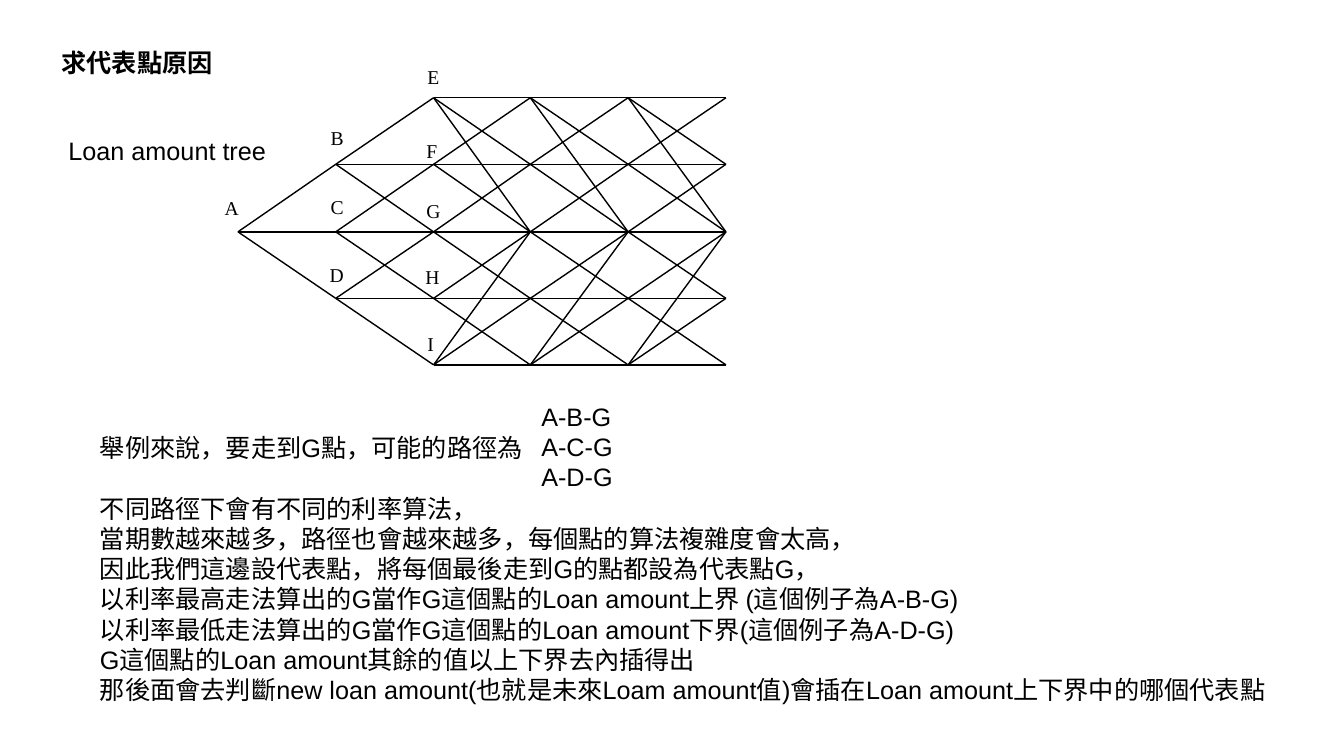
from dataclasses import dataclass

from lxml.etree import SubElement
from pptx import Presentation
from pptx.dml.color import RGBColor
from pptx.enum.shapes import MSO_CONNECTOR
from pptx.enum.text import MSO_ANCHOR, MSO_AUTO_SIZE, PP_ALIGN
from pptx.oxml.ns import qn
from pptx.shapes.base import BaseShape
from pptx.slide import Slide
from pptx.util import Emu, Pt

EMU_PER_PX = 9144  # 100 px to the inch
BLACK = RGBColor(0, 0, 0)
WHITE = RGBColor(255, 255, 255)
SANS = "Arial"
SERIF = "Times New Roman"

# Lattice extent and size
LEFT, RIGHT, TOP, BOTTOM = 236, 720, 97, 362
STEPS, ROWS = 5, 5
MIDDLE = ROWS // 2


@dataclass(frozen=True)
class Box:
    left: int
    top: int
    width: int
    height: int


@dataclass(frozen=True)
class NodeLabel:
    name: str
    box: Box


NODE_LABELS = [
    NodeLabel("A", Box(213, 189, 39, 40)),
    NodeLabel("B", Box(318, 120, 38, 40)),
    NodeLabel("C", Box(318, 188, 38, 40)),
    NodeLabel("D", Box(317, 256, 39, 40)),
    NodeLabel("E", Box(414, 59, 37, 40)),
    NodeLabel("F", Box(413, 133, 36, 40)),
    NodeLabel("G", Box(413, 192, 39, 40)),
    NodeLabel("H", Box(412, 258, 39, 40)),
    NodeLabel("I", Box(414, 324, 31, 40)),
]

EXPLANATION = [
    "舉例來說，要走到G點，可能的路徑為",
    "不同路徑下會有不同的利率算法，",
    "當期數越來越多，路徑也會越來越多，每個點的算法複雜度會太高，",
    "因此我們這邊設代表點，將每個最後走到G的點都設為代表點G，",
    "以利率最高走法算出的G當作G這個點的Loan amount上界 (這個例子為A-B-G)",
    "以利率最低走法算出的G當作G這個點的Loan amount下界(這個例子為A-D-G)",
    "G這個點的Loan amount其餘的值以上下界去內插得出",
    "那後面會去判斷new loan amount(也就是未來Loam amount值)會插在Loan amount上下界中的哪個代表點",
]
PATHS = ["A-B-G", "A-C-G", "A-D-G"]


def px(length: int) -> Emu:
    return Emu(length * EMU_PER_PX)


def place(shape: BaseShape, box: Box) -> None:
    shape.left, shape.top = px(box.left), px(box.top)
    shape.width, shape.height = px(box.width), px(box.height)


def write(shape: BaseShape, lines: list[str], size: int = 18, font: str = SANS,
          bold: bool = False, wrap: bool = False) -> None:
    frame = shape.text_frame
    frame.auto_size = MSO_AUTO_SIZE.NONE
    frame.word_wrap = wrap
    frame.vertical_anchor = MSO_ANCHOR.TOP
    for index, line in enumerate(lines):
        paragraph = frame.paragraphs[0] if index == 0 else frame.add_paragraph()
        paragraph.alignment = PP_ALIGN.LEFT
        paragraph.space_before = Pt(0)
        run = paragraph.add_run()
        run.text = line
        run.font.name, run.font.size = font, Pt(size)
        run.font.bold = bold
        run.font.color.rgb = BLACK


def add_text(slide: Slide, box: Box, lines: list[str], size: int = 18,
             font: str = SANS) -> None:
    shape = slide.shapes.add_textbox(
        px(box.left), px(box.top), px(box.width), px(box.height))
    write(shape, lines, size, font)


def node(column: int, row: int) -> tuple[Emu, Emu]:
    x = LEFT + (RIGHT - LEFT) * column / STEPS
    y = TOP + (BOTTOM - TOP) * row / (ROWS - 1)
    return px(round(x)), px(round(y))


def add_branch(slide: Slide, column: int, row: int, next_row: int) -> None:
    line = slide.shapes.add_connector(
        MSO_CONNECTOR.STRAIGHT, *node(column, row), *node(column + 1, next_row))
    line.line.color.rgb = BLACK
    line.line.width = Pt(1)
    SubElement(line._element.spPr, qn("a:effectLst"))


def draw_tree(slide: Slide) -> None:
    for column in range(STEPS):
        spread = min(column, MIDDLE)
        for row in range(MIDDLE - spread, MIDDLE + spread + 1):
            # Three branches each, kept inside the lattice
            first = min(max(row - 1, 0), ROWS - 3)
            for next_row in range(first, first + 3):
                add_branch(slide, column, row, next_row)
    for label in NODE_LABELS:
        add_text(slide, label.box, [label.name], 14, SERIF)


def write_explanation(body: BaseShape) -> None:
    place(body, Box(89, 424, 1218, 283))
    write(body, EXPLANATION, wrap=True)
    for paragraph in body.text_frame.paragraphs:
        properties = paragraph._p.get_or_add_pPr()
        properties.set("marL", "0")
        properties.set("indent", "0")
        SubElement(properties, qn("a:buNone"))
    # Room for the last path beside the first line
    body.text_frame.paragraphs[1].space_before = Pt(21.6)


def main() -> None:
    presentation = Presentation()
    presentation.slide_width, presentation.slide_height = px(1333), px(750)
    slide = presentation.slides.add_slide(presentation.slide_layouts[1])
    slide.background.fill.solid()
    slide.background.fill.fore_color.rgb = WHITE

    # Title and tree
    title = slide.shapes.title
    place(title, Box(51, 42, 172, 40))
    write(title, ["求代表點原因"], bold=True)
    add_text(slide, Box(58, 129, 218, 40), ["Loan amount tree"])
    draw_tree(slide)

    # Explanation and the three paths to G
    write_explanation(slide.placeholders[1])
    add_text(slide, Box(527, 393, 92, 101), PATHS)
    presentation.save("out.pptx")


if __name__ == "__main__":
    main()
